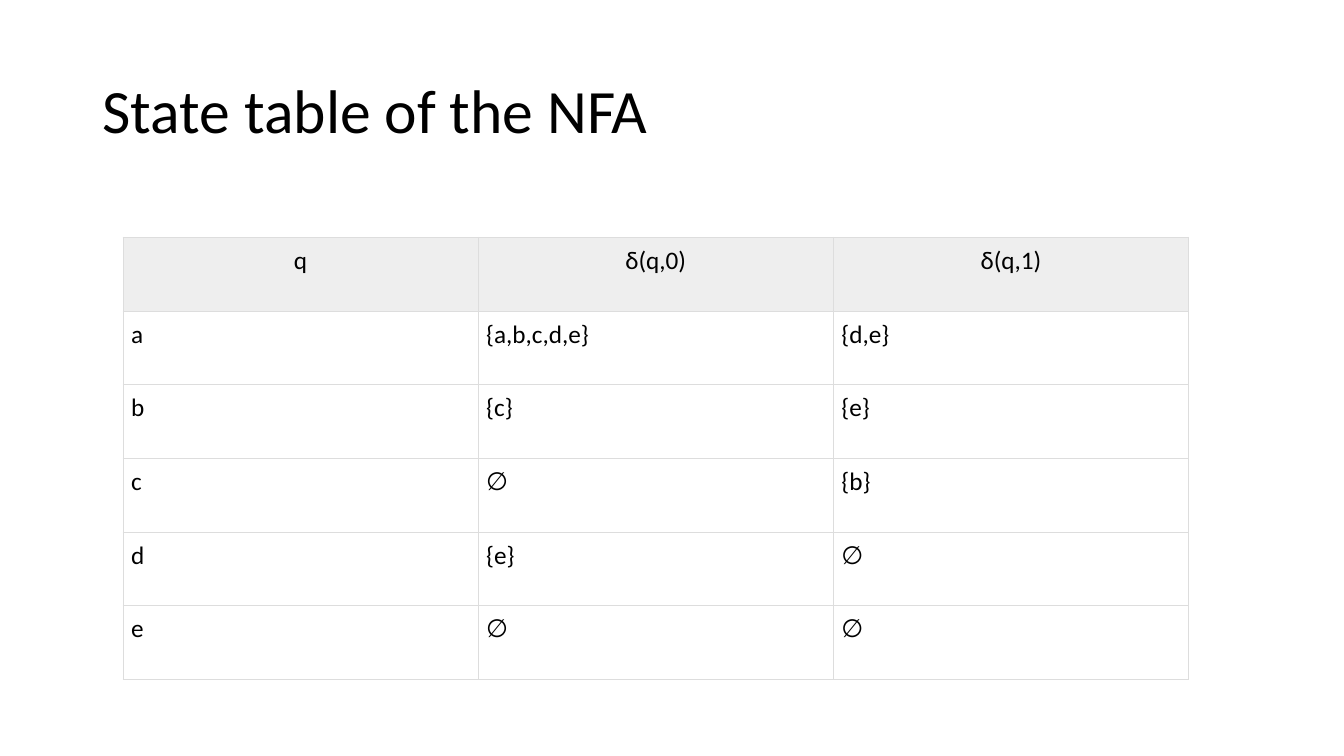
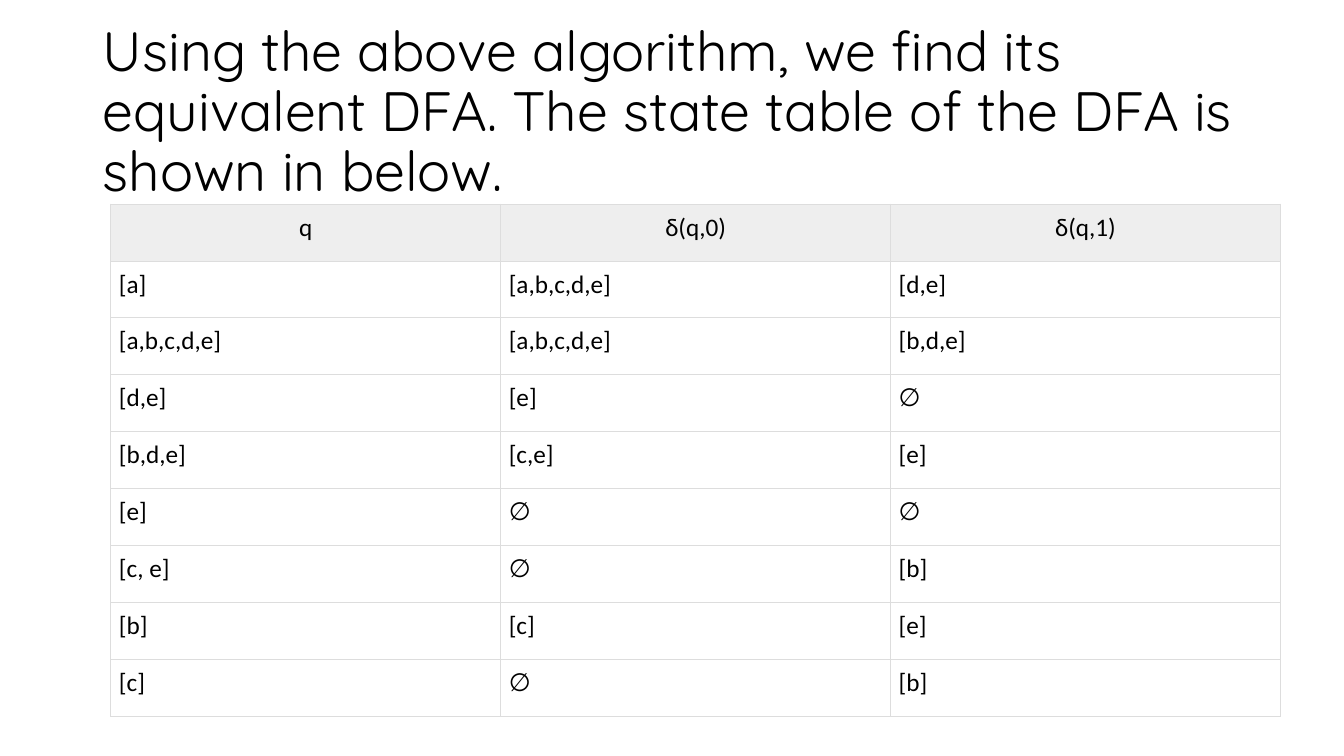
from dataclasses import dataclass

from lxml.etree import SubElement
from pptx import Presentation
from pptx.dml.color import RGBColor
from pptx.enum.text import MSO_ANCHOR, MSO_AUTO_SIZE, PP_ALIGN
from pptx.oxml.ns import qn
from pptx.util import Inches, Pt


@dataclass(frozen=True)
class Theme:
    """Colours, fonts and sizes that the slides share."""
    ink: str = "000000"
    paper: str = "FFFFFF"
    head: str = "EEEEEE"
    rule: str = "DDDDDD"
    font: str = "Calibri"
    size: float = 18
    line: float = 0.75
    inset: float = 0.08
    lead: float = 0.9


THEME = Theme()
WIDE, HIGH = Inches(13.33), Inches(7.5)
TITLE = (6.9, 5.33, 86.27, 19.33)
HEAD = ("q", "δ(q,0)", "δ(q,1)")
NFA = (
    ("a", "{a,b,c,d,e}", "{d,e}"),
    ("b", "{c}", "{e}"),
    ("c", "∅", "{b}"),
    ("d", "{e}", "∅"),
    ("e", "∅", "∅"),
)
DFA = (
    ("[a]", "[a,b,c,d,e]", "[d,e]"),
    ("[a,b,c,d,e]", "[a,b,c,d,e]", "[b,d,e]"),
    ("[d,e]", "[e]", "∅"),
    ("[b,d,e]", "[c,e]", "[e]"),
    ("[e]", "∅", "∅"),
    ("[c, e]", "∅", "[b]"),
    ("[b]", "[c]", "[e]"),
    ("[c]", "∅", "[b]"),
)
SLIDES = (
    ("State table of the NFA", "Calibri", 44, (9.15, 31.4, 79.29, 58.47), NFA),
    ("Using the above algorithm, we find its equivalent DFA. "
     "The state table of the DFA is shown in below.",
     "Quicksand", 39.6, (8.25, 27, 87.02, 67.73), DFA),
)


def place(box):
    """Turn percentages of the slide into lengths."""
    return [round(part * full / 100)
            for part, full in zip(box, (WIDE, HIGH, WIDE, HIGH))]


def write(para, text, font=THEME.font, size=THEME.size):
    """Add one styled run to a paragraph."""
    run = para.add_run()
    run.text = text
    run.font.name = font
    run.font.size = Pt(size)
    run.font.color.rgb = RGBColor.from_string(THEME.ink)


def add_title(slide, box, text, font, size):
    """Place the slide title, centred vertically in its box."""
    frame = slide.shapes.add_textbox(*place(box)).text_frame
    frame.word_wrap = True
    frame.auto_size = MSO_AUTO_SIZE.NONE
    frame.vertical_anchor = MSO_ANCHOR.MIDDLE
    para = frame.paragraphs[0]
    para.line_spacing = THEME.lead
    write(para, text, font, size)


def border(cell):
    """Draw a thin rule on all four sides of a cell."""
    props = cell._tc.get_or_add_tcPr()
    for side in ("lnL", "lnR", "lnT", "lnB"):
        line = SubElement(props, qn(f"a:{side}"), w=str(Pt(THEME.line)))
        fill = SubElement(line, qn("a:solidFill"))
        SubElement(fill, qn("a:srgbClr"), val=THEME.rule)


def fill_cell(cell, text, top):
    """Style one cell and write its text."""
    cell.margin_left = cell.margin_right = Inches(THEME.inset)
    cell.margin_top = cell.margin_bottom = Inches(THEME.inset)
    border(cell)
    if top:
        cell.fill.solid()
        cell.fill.fore_color.rgb = RGBColor.from_string(THEME.head)
    else:
        cell.fill.background()
    para = cell.text_frame.paragraphs[0]
    para.alignment = PP_ALIGN.CENTER if top else PP_ALIGN.LEFT
    write(para, text)


def add_states(slide, box, body):
    """Fill a box with a state table of equal columns and rows."""
    rows = (HEAD, *body)
    shape = slide.shapes.add_table(len(rows), len(HEAD), *place(box))
    table = shape.table
    table.horz_banding = False
    for row, texts in enumerate(rows):
        for col, text in enumerate(texts):
            fill_cell(table.cell(row, col), text, row == 0)


def main():
    """Build and save the deck."""
    deck = Presentation()
    deck.slide_width, deck.slide_height = WIDE, HIGH
    for text, font, size, box, body in SLIDES:
        slide = deck.slides.add_slide(deck.slide_layouts[6])
        slide.background.fill.solid()
        slide.background.fill.fore_color.rgb = RGBColor.from_string(THEME.paper)
        add_title(slide, TITLE, text, font, size)
        add_states(slide, box, body)
    deck.save("out.pptx")


if __name__ == "__main__":
    main()
